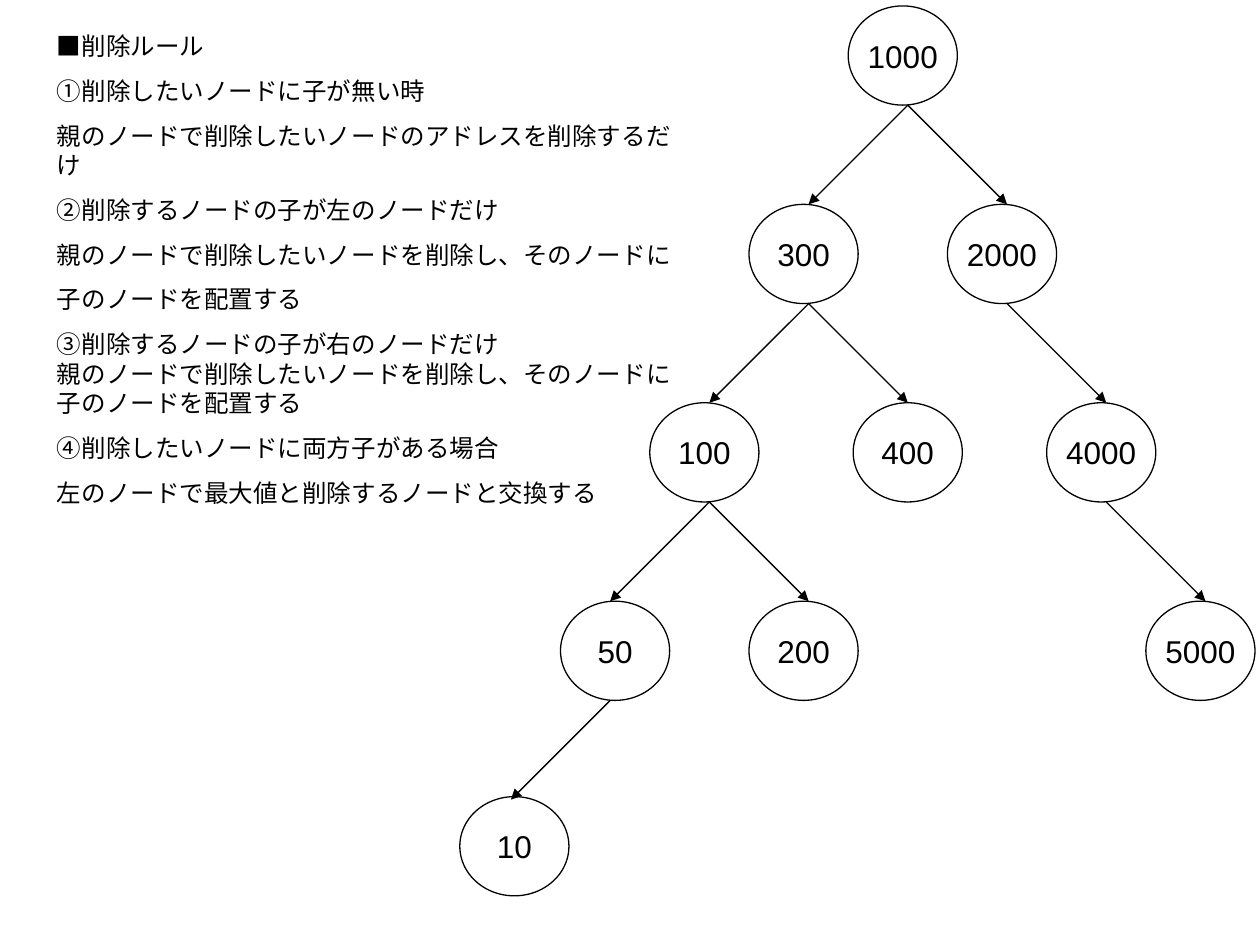
from lxml import etree
from pptx import Presentation, util as u
from pptx.dml.color import RGBColor
from pptx.enum import shapes, text
from pptx.oxml.ns import qn

COLORS = {"ink": "000000"}
INK = RGBColor.from_string(COLORS["ink"])

prs = Presentation()
prs.slide_width, prs.slide_height = u.Cm(25.4), u.Cm(19.05)
s = prs.slides.add_slide(prs.slide_layouts[6])


def write(p, words, size):
    r = p.add_run()
    r.text = words
    for key, value in {"name": "Arial", "size": u.Pt(size)}.items():
        setattr(r.font, key, value)
    r.font.color.rgb = INK


# Tree: value -> (column, row, sideways nudge, parent)
NODES = {
    1000: (4, 0, 0, None),
    300: (3, 1, 0, 1000),
    2000: (5, 1, 0, 1000),
    100: (2, 2, 0, 300),
    400: (4, 2, 0.1, 300),
    4000: (6, 2, 0, 2000),
    50: (1, 3, 0.2, 100),
    200: (3, 3, 0, 100),
    5000: (7, 3, 0, 4000),
    10: (0, 4, 0.17, 50),
}
COL, ROW = 2, 4
TIP_X, TOP = 10.3, 0.12
WIDTH, HEIGHT = 2.2, 2

# Circles
for value, (col, row, nudge, parent) in NODES.items():
    left = TIP_X + col * COL - 1.2 + nudge
    top = TOP + row * ROW - (0.06 if row == 4 else 0)
    sp = s.shapes.add_shape(shapes.MSO_SHAPE.OVAL, u.Cm(left), u.Cm(top),
                            u.Cm(WIDTH), u.Cm(HEIGHT))
    sp.shadow.inherit = False
    sp.fill.background()
    sp.line.color.rgb = INK
    sp.line.width = u.Pt(0.75)
    tf = sp.text_frame
    tf.word_wrap = False
    tf.vertical_anchor = text.MSO_ANCHOR.MIDDLE
    p = tf.paragraphs[0]
    p.alignment = text.PP_ALIGN.CENTER
    write(p, str(value), 18)

# Arrows from parent to child
for col, row, nudge, parent in NODES.values():
    if parent is None:
        continue
    from_col, from_row = NODES[parent][:2]
    sp = s.shapes.add_connector(
        shapes.MSO_CONNECTOR.STRAIGHT,
        u.Cm(TIP_X + from_col * COL), u.Cm(TOP + from_row * ROW + HEIGHT),
        u.Cm(TIP_X + col * COL), u.Cm(TOP + row * ROW))
    sp.line.color.rgb = INK
    sp.line.width = u.Pt(0.75)
    etree.SubElement(sp.line._get_or_add_ln(), qn("a:tailEnd"), type="triangle")
    etree.SubElement(sp._element.spPr, qn("a:effectLst"))

# Deletion rules: (text, space before in points)
GAP = 8.8
RULES = [
    ("■削除ルール", GAP),
    ("①削除したいノードに子が無い時", GAP),
    ("親のノードで削除したいノードのアドレスを削除するだけ", GAP),
    ("②削除するノードの子が左のノードだけ", GAP),
    ("親のノードで削除したいノードを削除し、そのノードに", GAP),
    ("子のノードを配置する", GAP),
    ("③削除するノードの子が右のノードだけ", GAP),
    ("親のノードで削除したいノードを削除し、そのノードに", 0),
    ("子のノードを配置する", 0),
    ("④削除したいノードに両方子がある場合", GAP),
    ("左のノードで最大値と削除するノードと交換する", GAP),
]
sp = s.shapes.add_textbox(u.Cm(0.9), u.Cm(0.5), u.Cm(13.2), u.Cm(10.75))
tf = sp.text_frame
tf.word_wrap = True
tf.auto_size = text.MSO_AUTO_SIZE.SHAPE_TO_FIT_TEXT
for i, (words, gap) in enumerate(RULES):
    p = tf.add_paragraph() if i else tf.paragraphs[0]
    p.space_before = u.Pt(gap)
    write(p, words, 14)

prs.save("out.pptx")
